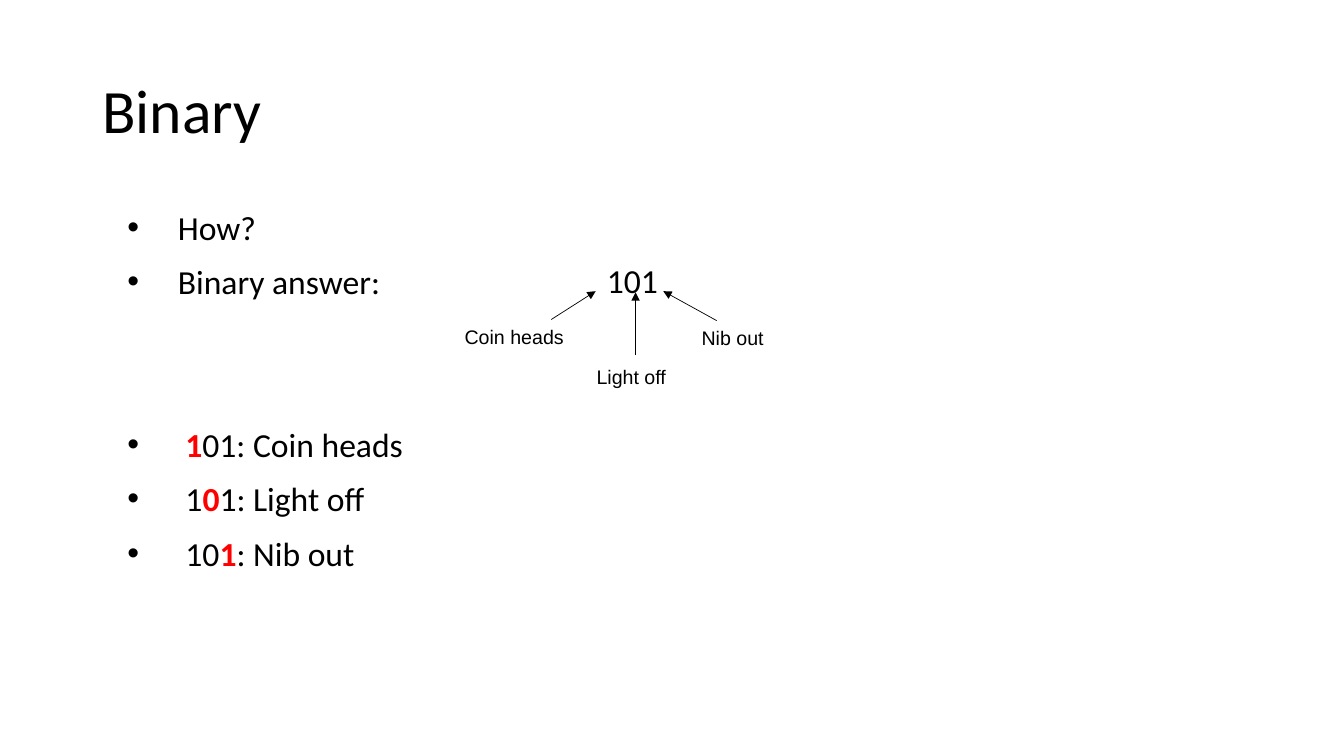
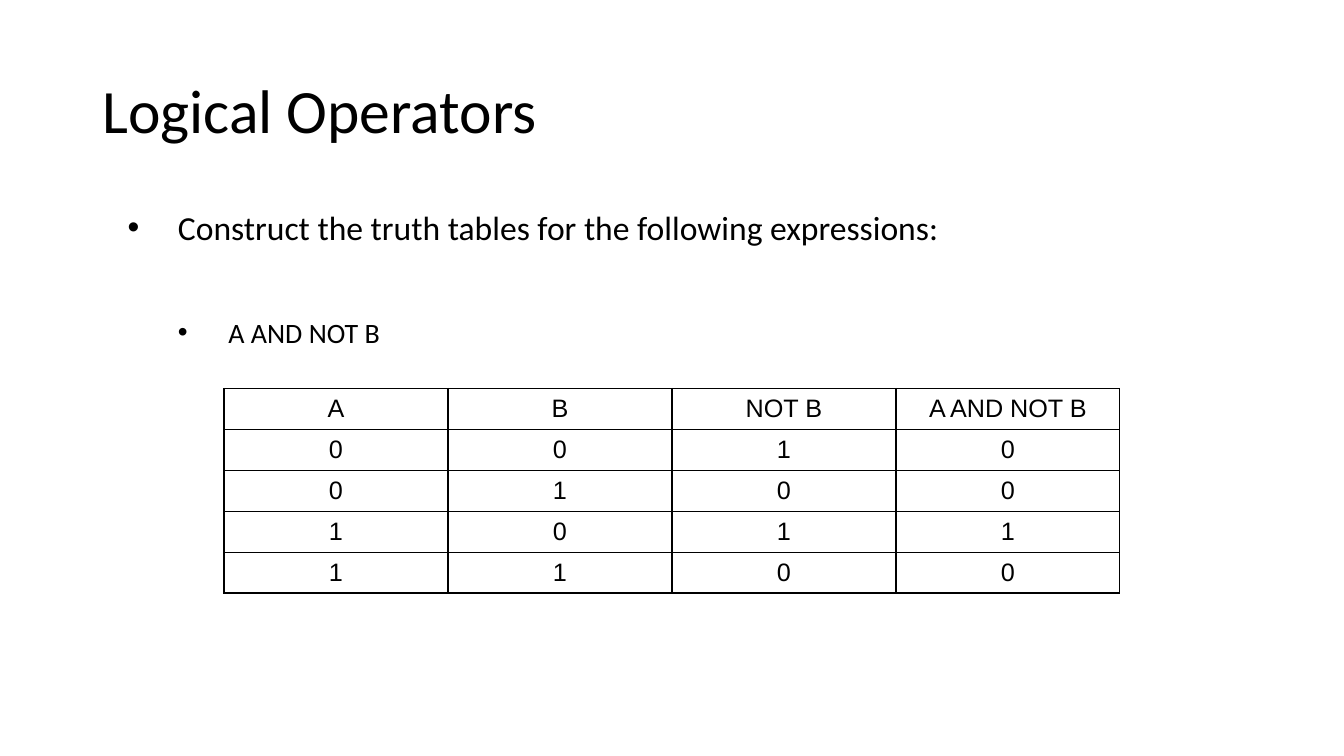
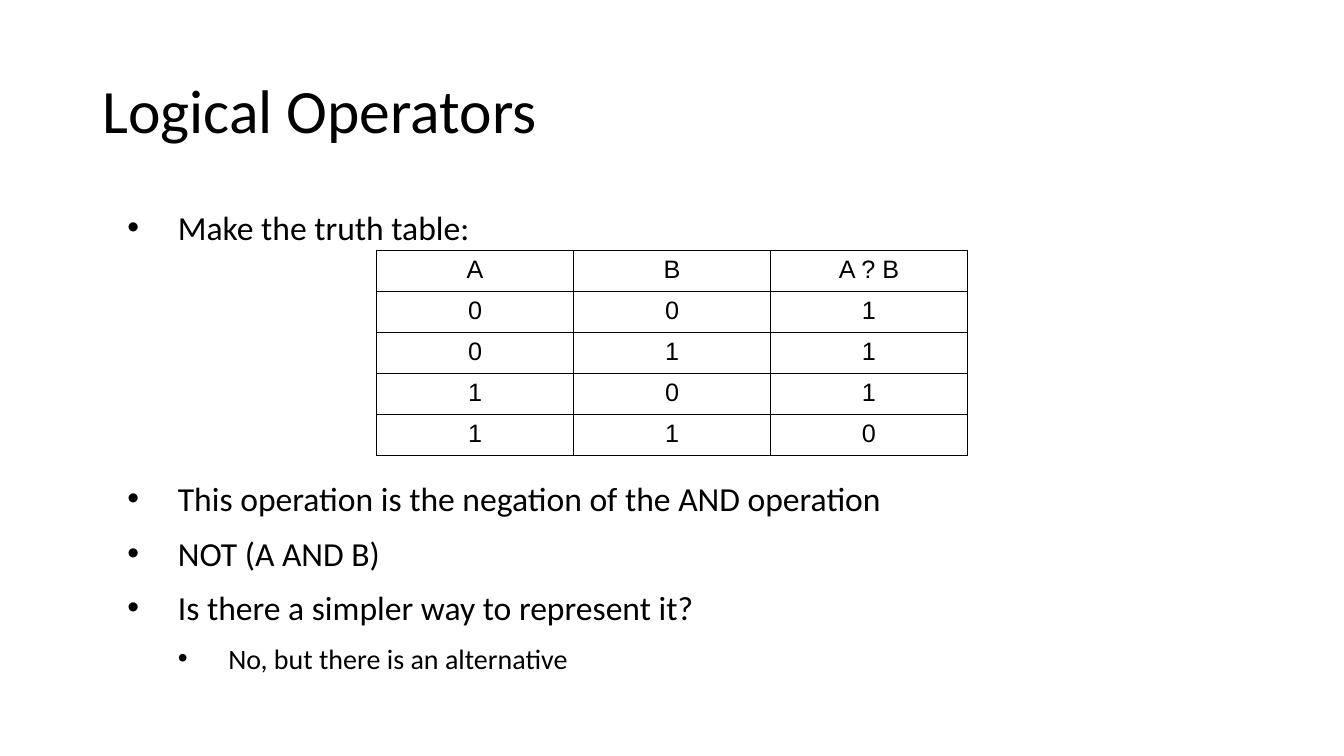
from dataclasses import dataclass

from lxml.etree import SubElement
from pptx import Presentation
from pptx.dml.color import RGBColor
from pptx.enum.shapes import MSO_CONNECTOR
from pptx.enum.text import MSO_ANCHOR, PP_ALIGN
from pptx.oxml.ns import qn
from pptx.util import Pt


@dataclass(frozen=True)
class Theme:
    ink: RGBColor = RGBColor(0, 0, 0)
    mark: RGBColor = RGBColor(255, 0, 0)
    paper: RGBColor = RGBColor(255, 255, 255)
    main: str = "Calibri"
    plain: str = "Arial"
    title: float = 44
    body: tuple = (24, 20)
    lead: tuple = (28.8, 24)
    cell: float = 18
    label: float = 14
    gap: float = 10


def apply(item, **form):
    for name, value in form.items():
        setattr(item, name, value)


def stroke(parent, tag, width, color):
    """Add a solid border line to a table cell."""
    line = SubElement(parent, qn(tag), w=str(Pt(width)))
    fill = SubElement(line, qn("a:solidFill"))
    SubElement(fill, qn("a:srgbClr"), val=str(color))


class Deck:
    def __init__(self, theme):
        self.theme = theme
        self.file = Presentation()
        apply(self.file, slide_width=Pt(960), slide_height=Pt(540))
        self.slide = None

    def page(self, title):
        self.slide = self.file.slides.add_slide(self.file.slide_layouts[6])
        fill = self.slide.background.fill
        fill.solid()
        fill.fore_color.rgb = self.theme.paper
        frame = self.frame(66, 28.8, 828, 104.4)
        frame.vertical_anchor = MSO_ANCHOR.MIDDLE
        para = frame.paragraphs[0]
        para.line_spacing = 0.9
        self.run(para, title, self.theme.title)

    def frame(self, *box):
        frame = self.slide.shapes.add_textbox(*map(Pt, box)).text_frame
        frame.word_wrap = True
        return frame

    def run(self, para, text, size, name=None, mark=False):
        run = para.add_run()
        run.text = text
        apply(run.font, size=Pt(size), name=name or self.theme.main, bold=mark)
        run.font.color.rgb = self.theme.mark if mark else self.theme.ink

    def bullets(self, items, width=828):
        """Each item is its level, the free lines above it, and its runs; odd runs are marked."""
        look = self.theme
        frame = self.frame(66, 144, width, 342.72)
        for spot, (level, skip, *runs) in enumerate(items):
            para = frame.add_paragraph() if spot else frame.paragraphs[0]
            props = para._p.get_or_add_pPr()
            props.set("marL", str(Pt(54 + 36 * level)))
            props.set("indent", str(Pt(-36)))
            SubElement(props, qn("a:buFont"), typeface=look.plain)
            SubElement(props, qn("a:buChar"), char="•")
            apply(para, level=level, line_spacing=Pt(look.lead[level]))
            if spot:
                para.space_before = Pt(look.gap + skip * (look.gap + look.lead[0]))
            for turn, text in enumerate(runs):
                self.run(para, text, look.body[level], mark=turn % 2 == 1)

    def label(self, text, left, top, size, name):
        para = self.frame(left, top, 85.7, size * 1.2 + 7.2).paragraphs[0]
        self.run(para, text, size, name)

    def arrow(self, *ends):
        line = self.slide.shapes.add_connector(MSO_CONNECTOR.STRAIGHT, *map(Pt, ends))
        line.line.width = Pt(0.5)
        line.line.color.rgb = self.theme.ink
        SubElement(line.line._get_or_add_ln(), qn("a:tailEnd"), type="triangle")
        SubElement(line._element.spPr, qn("a:effectLst"))

    def table(self, left, top, width, rows, anchor):
        high = 29.25
        count = len(rows[0])
        grid = self.slide.shapes.add_table(
            len(rows), count, Pt(left), Pt(top), Pt(width * count), Pt(high * len(rows))
        ).table
        apply(grid, first_row=False, horz_banding=False)
        for col in grid.columns:
            col.width = Pt(width)
        for row, texts in zip(grid.rows, rows):
            row.height = Pt(high)
            for cell, text in zip(row.cells, texts):
                self.cell(cell, text, anchor)

    def cell(self, cell, text, anchor):
        cell.vertical_anchor = anchor
        para = cell.text_frame.paragraphs[0]
        para.alignment = PP_ALIGN.CENTER
        self.run(para, text, self.theme.cell, self.theme.plain)
        props = cell._tc.get_or_add_tcPr()
        for side in "LRTB":
            stroke(props, f"a:ln{side}", 1, self.theme.ink)
        cell.fill.background()


def binary(deck):
    look = deck.theme
    deck.page("Binary")
    deck.bullets([
        (0, 0, "How?"),
        (0, 0, "Binary answer:"),
        (0, 2, " ", "1", "01: Coin heads"),
        (0, 0, " 1", "0", "1: Light off"),
        (0, 0, " 10", "1", ": Nib out"),
    ])
    deck.label("101", 426.4, 182.3, look.body[0], look.main)
    for text, left, top in (
        ("Coin heads", 324.7, 228.2),
        ("Light off", 419, 257),
        ("Nib out", 494, 229),
    ):
        deck.label(text, left, top, look.label, look.plain)
    for ends in (
        (393.8, 228.2, 425.5, 208),
        (454, 253.4, 454, 208.8),
        (511.9, 229, 473.8, 208),
    ):
        deck.arrow(*ends)


def negate(deck):
    deck.page("Logical Operators")
    deck.bullets([
        (0, 0, "Construct the truth tables for the following expressions:"),
        (1, 1, "A AND NOT B"),
    ], width=791.3)
    rows = [("A", "B", "NOT B", "A AND NOT B"), "0010", "0100", "1011", "1100"]
    deck.table(160, 277.5, 160, rows, MSO_ANCHOR.MIDDLE)


def puzzle(deck):
    deck.page("Logical Operators")
    deck.bullets([
        (0, 0, "Make the truth table:"),
        (0, 4, "This operation is the negation of the AND operation"),
        (0, 0, "NOT (A AND B)"),
        (0, 0, "Is there a simpler way to represent it?"),
        (1, 0, "No, but there is an alternative"),
    ])
    rows = [("A", "B", "A ? B"), "001", "011", "101", "110"]
    deck.table(269, 179, 140.7, rows, MSO_ANCHOR.TOP)


def main():
    deck = Deck(Theme())
    for build in (binary, negate, puzzle):
        build(deck)
    deck.file.save("out.pptx")


if __name__ == "__main__":
    main()
